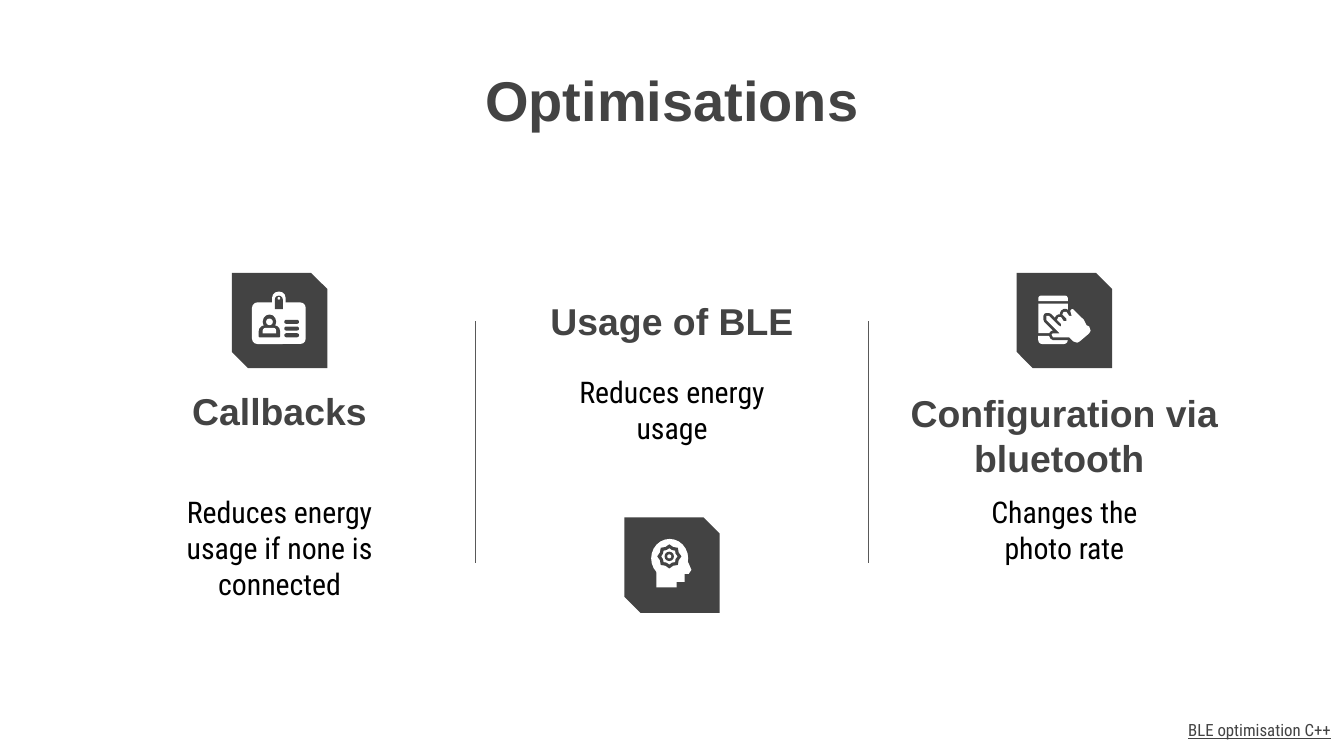
import dataclasses

import lxml.etree
import pptx
import pptx.dml.color
import pptx.enum.shapes
import pptx.enum.text
import pptx.oxml.ns
import pptx.util

KIND = pptx.enum.shapes.MSO_SHAPE
ALIGN = pptx.enum.text.PP_ALIGN
ANCHOR = pptx.enum.text.MSO_ANCHOR
COLS, ROWS = 100, 56.25
CELL = pptx.util.Inches(0.1)
TILE = 7.1
STEPS = 71

HAND = [(41, 27), (40, 28), (40, 29), (41, 32), (39, 32), (37, 29), (35, 29),
        (34, 31), (37, 34), (37, 36), (35, 36), (33, 33), (31, 33), (30, 35),
        (33, 38), (33, 40), (31, 39), (24, 32), (22, 32), (22, 35), (32, 45),
        (27, 45), (26, 46), (27, 48), (39, 48), (42, 51), (45, 52), (47, 51),
        (54, 45), (55, 43), (54, 40), (52, 39), (50, 35), (47, 32), (42, 27)]
FACE = [(24, 38), (24, 52), (39, 52), (39, 48), (45, 48), (45, 42), (48, 42),
        (50, 39), (47, 32), (47, 27), (34, 27)]


@dataclasses.dataclass(frozen=True)
class Theme:
    """Colours, fonts and type sizes of the slide."""
    dark: str = "434343"
    rule: str = "595959"
    ink: str = "000000"
    white: str = "FFFFFF"
    bold: str = "Arial"
    plain: str = "Roboto Condensed"
    title: int = 30
    head: int = 20
    body: int = 16
    note: int = 9


LOOK = Theme()


def shade(code):
    """Turn a hex code into a colour."""
    return pptx.dml.color.RGBColor.from_string(code)


def place(box):
    """Turn a box in grid cells into slide lengths."""
    return [round(part * CELL) for part in box]


def write(shape, words, size, font=LOOK.plain, color=LOOK.dark, bold=False,
          line=False, align=ALIGN.CENTER, anchor=ANCHOR.TOP):
    """Put formatted text into a shape."""
    frame = shape.text_frame
    frame.word_wrap = True
    frame.auto_size = pptx.enum.text.MSO_AUTO_SIZE.NONE
    frame.vertical_anchor = anchor
    for side in ("left", "top", "right", "bottom"):
        setattr(frame, f"margin_{side}", CELL)
    para = frame.paragraphs[0]
    para.alignment = align
    run = para.add_run()
    run.text = words
    run.font.size = pptx.util.Pt(size)
    run.font.name = font
    run.font.bold = bold
    run.font.underline = line
    run.font.color.rgb = shade(color)


def label(slide, box, words, size, **form):
    """Add a text box."""
    write(slide.shapes.add_textbox(*place(box)), words, size, **form)


def paint(shape, color, edge=0):
    """Fill a shape, with an edge of the same colour if asked."""
    shape.shadow.inherit = False
    shape.fill.solid()
    shape.fill.fore_color.rgb = shade(color)
    if edge:
        shape.line.color.rgb = shade(color)
        shape.line.width = pptx.util.Pt(edge)
    else:
        shape.line.fill.background()


def part(slide, tile, kind, box, color=LOOK.white, adjust=(), turn=0):
    """Add a preset shape on the fine grid of a tile."""
    step = tile[2] / STEPS
    spot = (tile[0] + box[0] * step, tile[1] + box[1] * step,
            box[2] * step, box[3] * step)
    shape = slide.shapes.add_shape(kind, *place(spot))
    for index, value in enumerate(adjust):
        shape.adjustments[index] = value
    shape.rotation = turn
    paint(shape, color)


def trace(slide, tile, points, color=LOOK.white, edge=0):
    """Add a closed outline on the fine grid of a tile."""
    step = tile[2] / STEPS
    spots = [place((tile[0] + x * step, tile[1] + y * step))
             for x, y in points]
    pen = slide.shapes.build_freeform(*spots[0])
    pen.add_line_segments(spots[1:], close=True)
    paint(pen.convert_to_shape(), color, edge)


def badge(slide, tile):
    """Draw a name badge."""
    dark = LOOK.dark
    part(slide, tile, KIND.ROUNDED_RECTANGLE, (15, 22, 40, 31), adjust=[0.13])
    part(slide, tile, KIND.ROUND_2_SAME_RECTANGLE, (30, 14, 10, 9),
         adjust=[0.5, 0])
    part(slide, tile, KIND.ROUND_2_SAME_RECTANGLE, (32, 17, 6, 10), dark,
         adjust=[0.5, 0])
    part(slide, tile, KIND.OVAL, (34, 18, 2, 2))
    part(slide, tile, KIND.ROUND_2_SAME_RECTANGLE, (20, 39, 16, 9), dark,
         adjust=[0.5, 0.1])
    part(slide, tile, KIND.OVAL, (23, 31, 10, 11), dark)
    part(slide, tile, KIND.OVAL, (25.5, 34, 5, 5))
    part(slide, tile, KIND.ROUND_2_SAME_RECTANGLE, (23, 41, 10, 4),
         adjust=[0.5, 0])
    for row in (35, 40, 45):
        part(slide, tile, KIND.ROUNDED_RECTANGLE, (39, row, 11, 3), dark,
             adjust=[0.5])


def mind(slide, tile):
    """Draw a head with a gear inside."""
    part(slide, tile, KIND.OVAL, (20, 16, 27.5, 29))
    trace(slide, tile, FACE)
    rings = [(KIND.STAR_8_POINT, 18, LOOK.dark, [0.42]),
             (KIND.STAR_8_POINT, 12, LOOK.white, [0.42]),
             (KIND.OVAL, 7, LOOK.dark, []), (KIND.OVAL, 3, LOOK.white, [])]
    for kind, size, color, adjust in rings:
        part(slide, tile, kind, (33.5 - size / 2, 29 - size / 2, size, size),
             color, adjust)


def phone(slide, tile):
    """Draw a hand touching a phone."""
    cap = KIND.ROUND_2_SAME_RECTANGLE
    part(slide, tile, cap, (16, 17, 22, 4), adjust=[0.5, 0])
    part(slide, tile, KIND.RECTANGLE, (16, 23, 22, 22))
    part(slide, tile, cap, (16, 47, 22, 6), adjust=[0.5, 0], turn=180)
    trace(slide, tile, HAND, LOOK.dark, edge=3)
    trace(slide, tile, HAND)


def column(slide, box, head, body, icon, mark):
    """Place a heading, a text and an icon tile centred in a column."""
    left, top, wide = box
    mid = left + wide / 2

    def centre(row, width, height):
        """Give the box centred in the column at a row."""
        return mid - width / 2, top + row, width, height

    label(slide, centre(*head[1:]), head[0], LOOK.head, font=LOOK.bold,
          bold=True, anchor=ANCHOR.BOTTOM)
    label(slide, centre(body[1], 16.2, body[2]), body[0], LOOK.body,
          color=LOOK.ink)
    tile = centre(mark, TILE, TILE)
    part(slide, tile, KIND.SNIP_2_DIAG_RECTANGLE, (0, 0, STEPS, STEPS),
         LOOK.dark, adjust=[0, 0.17])
    icon(slide, tile)


def divide(slide, col, top, end):
    """Draw an upright rule between two columns."""
    rule = slide.shapes.add_connector(
        pptx.enum.shapes.MSO_CONNECTOR.STRAIGHT, *place((col, top, col, end)))
    rule.line.color.rgb = shade(LOOK.rule)
    rule.line.width = pptx.util.Pt(0.75)
    lxml.etree.SubElement(rule.element.spPr, pptx.oxml.ns.qn("a:effectLst"))


def title(slide, box, words):
    """Move and fill the title placeholder."""
    shape = slide.shapes.title
    shape.left, shape.top, shape.width, shape.height = place(box)
    write(shape, words, LOOK.title, font=LOOK.bold, bold=True)


def main():
    """Build and save the slide."""
    deck = pptx.Presentation()
    deck.slide_width, deck.slide_height = place((COLS, ROWS))
    slide = deck.slides.add_slide(deck.slide_layouts[5])
    title(slide, (21.5, 3.9, 57, 10.3), "Optimisations")

    wide = 29.2
    start = (COLS - 3 * wide) / 2
    items = [
        (("Callbacks", 8, 16.6, 4.9),
         ("Reduces energy usage if none is connected", 15.45, 9), badge, 0),
        (("Usage of BLE", 1.3, 20.2, 4.9),
         ("Reduces energy usage", 6.5, 9.8), mind, 18.2),
        (("Configuration via bluetooth ", 6.1, wide, 10.3),
         ("Changes the photo rate", 15.45, 7.8), phone, 0),
    ]
    for index, item in enumerate(items):
        left = start + index * wide
        column(slide, (left, 20.3, wide), *item)
        if index:
            divide(slide, left, 23.9, 41.9)

    label(slide, (COLS - 37.5, ROWS - 3.7, 37.5, 3.5), "BLE optimisation C++",
          LOOK.note, line=True, align=ALIGN.RIGHT)
    deck.save("out.pptx")


if __name__ == "__main__":
    main()
